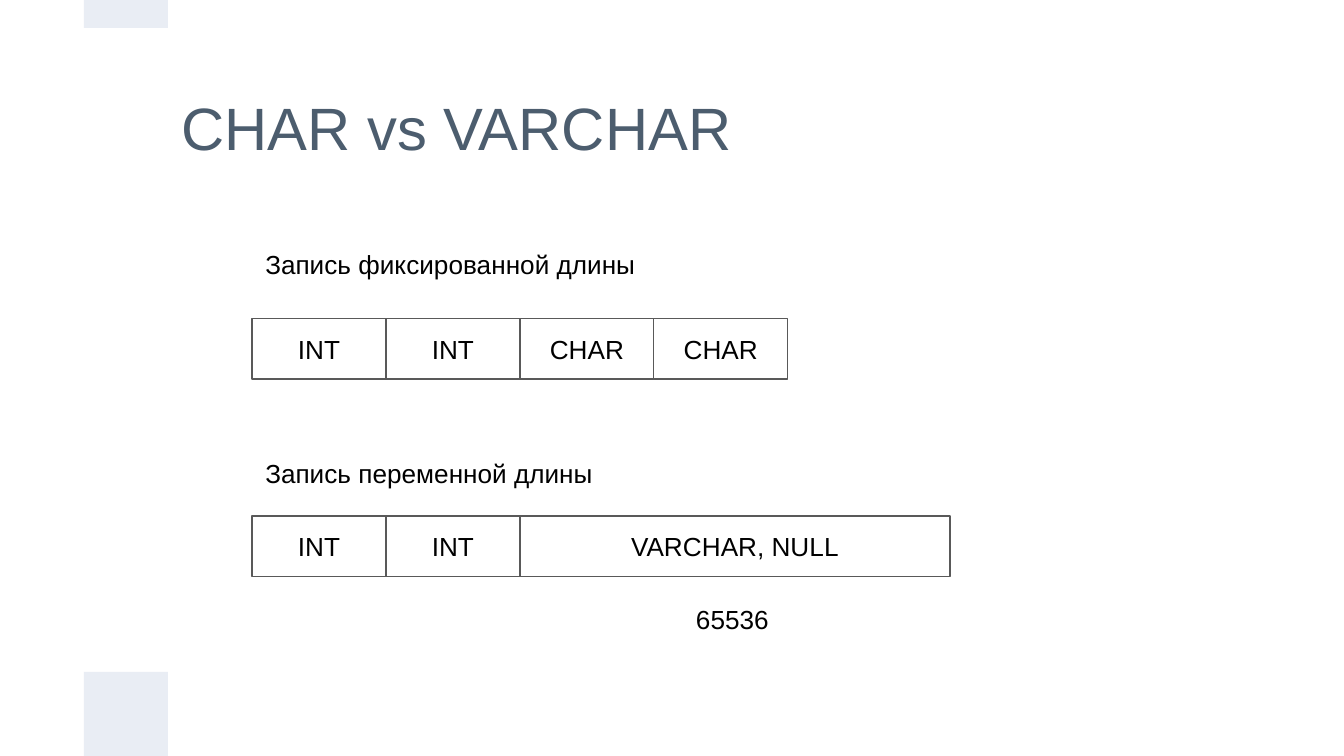
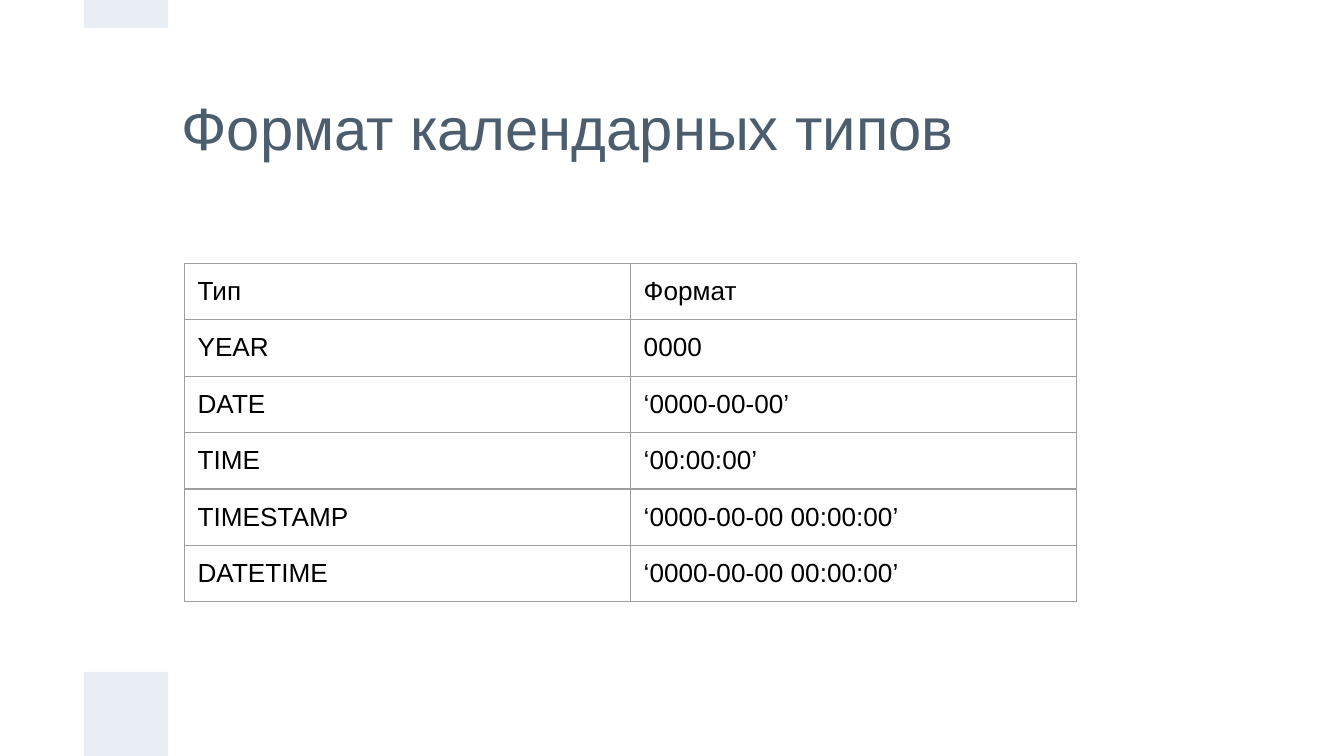
from dataclasses import dataclass

from lxml import etree
from pptx import Presentation
from pptx import util as u
from pptx.dml.color import RGBColor
from pptx.enum import shapes, text
from pptx.oxml import ns

FONT = "Arial"
BLACK = "000000"
SLATE = "4C5D6E"
PALE = "E9EDF4"
EDGE = "595959"
GRID = "9E9E9E"
PAD = u.Inches(0.1)
WIDE = 10
TALL = WIDE * 9 / 16
BAND = WIDE / 16
LEFT = 3 * BAND
SPAN = 2.99
UNIT = SPAN / 3
HIGH = 0.45


@dataclass
class Box:
    left: float
    top: float
    width: float
    height: float

    def place(self) -> tuple:
        return tuple(u.Inches(n) for n in (self.left, self.top, self.width, self.height))


@dataclass
class Record:
    label: str
    label_top: float
    top: float
    fields: list[tuple[str, float]]


BANDS = [Box(BAND, TALL - BAND, BAND, BAND), Box(BAND, 0, BAND, BAND / 3)]
HEAD = Box(2 * BAND, 0.32, 7.69, 1.25)
RECORDS = [
    Record("Запись фиксированной длины", 1.75, 2.37,
           [("INT", UNIT), ("INT", UNIT), ("CHAR", UNIT), ("CHAR", UNIT)]),
    Record("Запись переменной длины", 3.3, 3.84,
           [("INT", UNIT), ("INT", UNIT), ("VARCHAR, NULL", 3.2)]),
]
FORMATS = [
    ("Тип", "Формат"),
    ("YEAR", "0000"),
    ("DATE", "‘0000-00-00’"),
    ("TIME", "‘00:00:00’"),
    ("TIMESTAMP", "‘0000-00-00 00:00:00’"),
    ("DATETIME", "‘0000-00-00 00:00:00’"),
]


def tint(code: str) -> RGBColor:
    return RGBColor.from_string(code)


def write(frame, words: str, size: int = 14, color: str = BLACK,
          align=text.PP_ALIGN.LEFT) -> None:
    frame.text = words
    para = frame.paragraphs[0]
    para.alignment = align
    font = para.runs[0].font
    font.name, font.size = FONT, u.Pt(size)
    font.color.rgb = tint(color)


def pad(item) -> None:
    item.margin_left = item.margin_right = PAD
    item.margin_top = item.margin_bottom = PAD


def add_rect(slide, box: Box, fill: str = "", line: str = ""):
    rect = slide.shapes.add_shape(shapes.MSO_SHAPE.RECTANGLE, *box.place())
    rect.shadow.inherit = False
    if fill:
        rect.fill.solid()
        rect.fill.fore_color.rgb = tint(fill)
    else:
        rect.fill.background()
    if line:
        rect.line.color.rgb = tint(line)
        rect.line.width = u.Pt(0.75)
    else:
        rect.line.fill.background()
    return rect


def add_label(slide, box: Box, words: str) -> None:
    frame = slide.shapes.add_textbox(*box.place()).text_frame
    frame.word_wrap = True
    pad(frame)
    write(frame, words)


def add_field(slide, box: Box, words: str) -> None:
    frame = add_rect(slide, box, line=EDGE).text_frame
    frame.word_wrap = True
    frame.vertical_anchor = text.MSO_ANCHOR.MIDDLE
    pad(frame)
    write(frame, words, align=text.PP_ALIGN.CENTER)


def add_record(slide, record: Record) -> None:
    add_label(slide, Box(LEFT, record.label_top, SPAN, HIGH), record.label)
    left = LEFT
    for name, width in record.fields:
        add_field(slide, Box(left, record.top, width, HIGH), name)
        left += width


def set_edges(cell, color: str) -> None:
    props = cell._tc.get_or_add_tcPr()
    for index, side in enumerate(("lnL", "lnR", "lnT", "lnB")):
        edge = etree.Element(ns.qn(f"a:{side}"), w=str(u.Pt(0.75)))
        fill = etree.SubElement(edge, ns.qn("a:solidFill"))
        etree.SubElement(fill, ns.qn("a:srgbClr"), val=color)
        props.insert(index, edge)


def add_grid(slide, box: Box, rows: list[tuple[str, str]]) -> None:
    table = slide.shapes.add_table(len(rows), len(rows[0]), *box.place()).table
    table.first_row = table.horz_banding = False
    for r, row in enumerate(rows):
        for c, words in enumerate(row):
            cell = table.cell(r, c)
            cell.fill.background()
            pad(cell)
            write(cell.text_frame, words)
            set_edges(cell, GRID)


def add_slide(deck, title: str):
    slide = deck.slides.add_slide(deck.slide_layouts[5])
    head = slide.shapes.title
    head.left, head.top, head.width, head.height = HEAD.place()
    frame = head.text_frame
    frame.word_wrap = True
    frame.auto_size = text.MSO_AUTO_SIZE.NONE
    frame.vertical_anchor = text.MSO_ANCHOR.MIDDLE
    pad(frame)
    write(frame, title, 32, SLATE)
    for band in BANDS:
        add_rect(slide, band, fill=PALE)
    return slide


def main() -> None:
    deck = Presentation()
    deck.slide_width, deck.slide_height = u.Inches(WIDE), u.Inches(TALL)

    slide = add_slide(deck, "CHAR vs VARCHAR")
    for record in RECORDS:
        add_record(slide, record)
    add_label(slide, Box(5.08, 4.39, 0.78, HIGH), "65536")

    slide = add_slide(deck, "Формат календарных типов")
    add_grid(slide, Box(1.37, 1.96, 6.64, 0.42 * len(FORMATS)), FORMATS)

    deck.save("out.pptx")


if __name__ == "__main__":
    main()
